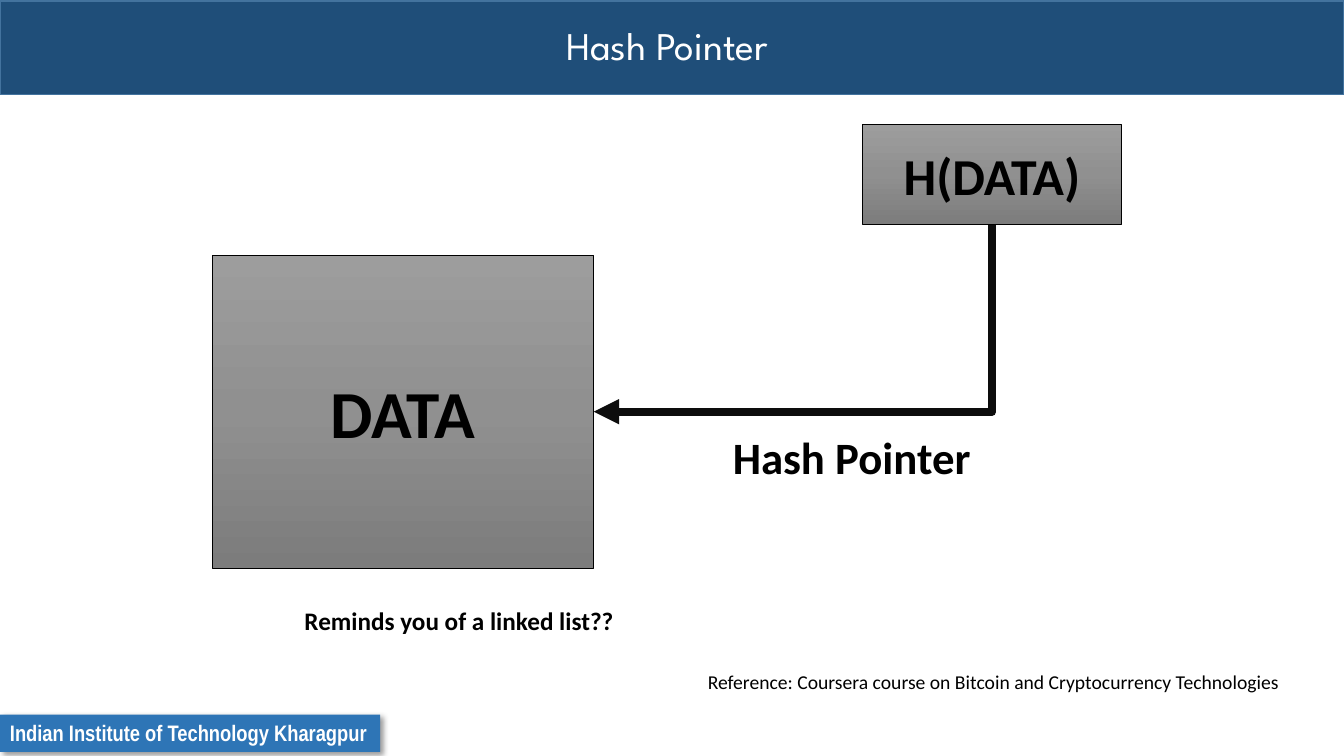
import copy
from dataclasses import dataclass

import pptx
import pptx.dml.color
import pptx.enum.shapes
import pptx.enum.text
import pptx.oxml
import pptx.oxml.ns
import pptx.util

ALIGN = pptx.enum.text.PP_ALIGN
ANCHOR = pptx.enum.text.MSO_ANCHOR
WIDTH = pptx.util.Inches(13.33)
HEIGHT = pptx.util.Inches(7.5)


@dataclass(frozen=True)
class Theme:
    banner: str = "1F4E79"
    banner_edge: str = "43739E"
    footer: str = "2E75B6"
    light: str = "FFFFFF"
    dark: str = "000000"
    arrow: str = "0D0D0D"
    box_gradient: tuple = ("9D9D9D", "909090", "7C7C7C")
    title_font: str = "League Spartan"
    body_font: str = "Calibri"
    footer_font: str = "Arial Narrow"
    title_size: int = 28
    data_size: int = 48
    hash_size: int = 37
    label_size: int = 32
    question_size: int = 18
    reference_size: int = 14
    footer_size: int = 16


THEME = Theme()


def rgb(colour):
    return pptx.dml.color.RGBColor.from_string(colour)


def across(percent):
    return round(WIDTH * percent / 100)


def down(percent):
    return round(HEIGHT * percent / 100)


def place(left, top, width, height):
    """Turn percentages of the slide's width and height into lengths."""
    return across(left), down(top), across(width), down(height)


def add_rectangle(slide, area):
    shape = slide.shapes.add_shape(pptx.enum.shapes.MSO_SHAPE.RECTANGLE, *place(*area))
    shape.shadow.inherit = False
    return shape


def set_frame(shape, anchor, wrap=True, insets=(0.13, 0.07)):
    frame = shape.text_frame
    frame.word_wrap = wrap
    frame.vertical_anchor = anchor
    frame.margin_left = frame.margin_right = pptx.util.Inches(insets[0])
    frame.margin_top = frame.margin_bottom = pptx.util.Inches(insets[1])
    return frame


def write(paragraph, text, size, font=THEME.body_font, colour=THEME.dark,
          bold=True, align=ALIGN.LEFT):
    paragraph.text = text
    paragraph.alignment = align
    paragraph.font.size = pptx.util.Pt(size)
    paragraph.font.name = font
    paragraph.font.bold = bold
    paragraph.font.color.rgb = rgb(colour)


def add_banner(slide, title):
    banner = add_rectangle(slide, (0, 0.13, 100, 12.4))
    banner.fill.solid()
    banner.fill.fore_color.rgb = rgb(THEME.banner)
    banner.line.color.rgb = rgb(THEME.banner_edge)
    banner.line.width = pptx.util.Pt(1)
    paragraph = set_frame(banner, ANCHOR.MIDDLE, insets=(0.1, 0.05)).paragraphs[0]
    write(paragraph, title, THEME.title_size, THEME.title_font, THEME.light,
          bold=False, align=ALIGN.CENTER)
    paragraph.line_spacing = 0.9


def add_footer(slide, text):
    footer = add_rectangle(slide, (0, 94.53, 28.28, 4.93))
    footer.fill.solid()
    footer.fill.fore_color.rgb = rgb(THEME.footer)
    footer.line.fill.background()
    effects = footer.element.spPr.find(pptx.oxml.ns.qn("a:effectLst"))
    effects.append(pptx.oxml.parse_xml(
        f'<a:outerShdw {pptx.oxml.ns.nsdecls("a")} blurRad="50800" dist="38100" '
        f'dir="2700000" algn="tl" rotWithShape="0"><a:srgbClr val="{THEME.dark}">'
        '<a:alpha val="40000"/></a:srgbClr></a:outerShdw>'))
    frame = set_frame(footer, ANCHOR.TOP, wrap=False, insets=(0.1, 0.05))
    write(frame.paragraphs[0], text, THEME.footer_size, THEME.footer_font, THEME.light)


def add_box(slide, area, text, size):
    box = add_rectangle(slide, area)
    box.fill.gradient()
    box.fill.gradient_angle = 270
    stops = box.element.spPr.find(".//" + pptx.oxml.ns.qn("a:gsLst"))
    stops.append(copy.deepcopy(stops[0]))
    for index, (stop, colour) in enumerate(zip(box.fill.gradient_stops, THEME.box_gradient)):
        stop.position = index / 2
        stop.color.rgb = rgb(colour)
    box.line.color.rgb = rgb(THEME.dark)
    box.line.width = pptx.util.Pt(0.5)
    write(set_frame(box, ANCHOR.MIDDLE).paragraphs[0], text, size, align=ALIGN.CENTER)
    return box


def add_pointer(slide, source, target):
    """Draw an elbow arrow from the source's bottom to the target's right side."""
    start_x, start_y = source.left + source.width // 2, source.top + source.height
    end_x, end_y = target.left + target.width, target.top + target.height // 2
    # The elbow turned by 90 degrees keeps its centre, with width and height swapped.
    width, height = end_y - start_y, start_x - end_x
    left = (start_x + end_x - width) // 2
    top = (start_y + end_y - height) // 2
    pointer = slide.shapes.add_connector(
        pptx.enum.shapes.MSO_CONNECTOR.ELBOW, left, top, left + width, top + height)
    pointer.line.color.rgb = rgb(THEME.arrow)
    pointer.line.width = pptx.util.Pt(6)
    properties = pointer.element.spPr
    properties.find(pptx.oxml.ns.qn("a:xfrm")).set("rot", "5400000")
    properties.find(pptx.oxml.ns.qn("a:prstGeom")).set("prst", "bentConnector2")
    namespace = pptx.oxml.ns.nsdecls("a")
    properties.find(pptx.oxml.ns.qn("a:ln")).append(
        pptx.oxml.parse_xml(f'<a:tailEnd {namespace} type="triangle"/>'))
    properties.append(pptx.oxml.parse_xml(f"<a:effectLst {namespace}/>"))


def add_text(slide, area, text, size, wrap=True):
    frame = set_frame(slide.shapes.add_textbox(*place(*area)), ANCHOR.TOP, wrap)
    write(frame.paragraphs[0], text, size)
    return frame


def add_reference(frame, text):
    paragraph = frame.add_paragraph()
    properties = paragraph._p.get_or_add_pPr()
    properties.set("marL", str(pptx.util.Inches(4)))
    paragraph.space_before = pptx.util.Pt(24)
    write(paragraph, text, THEME.reference_size, bold=False)


def main():
    presentation = pptx.Presentation()
    presentation.slide_width, presentation.slide_height = WIDTH, HEIGHT
    slide = presentation.slides.add_slide(presentation.slide_layouts[6])

    add_banner(slide, "Hash Pointer ")
    add_footer(slide, "Indian Institute of Technology Kharagpur")
    data = add_box(slide, (15.83, 33.73, 28.35, 41.47), "DATA", THEME.data_size)
    hash_value = add_box(slide, (64.2, 16.4, 19.2, 13.33), "H(DATA)", THEME.hash_size)
    add_pointer(slide, hash_value, data)
    add_text(slide, (53.55, 55.87, 19.9, 8.93), "Hash Pointer", THEME.label_size, wrap=False)
    notes = add_text(slide, (21.68, 79.2, 75.2, 13.87),
                     "Reminds you of a linked list??", THEME.question_size)
    add_reference(notes, "Reference: Coursera course on Bitcoin and Cryptocurrency Technologies")

    presentation.save("out.pptx")


if __name__ == "__main__":
    main()
